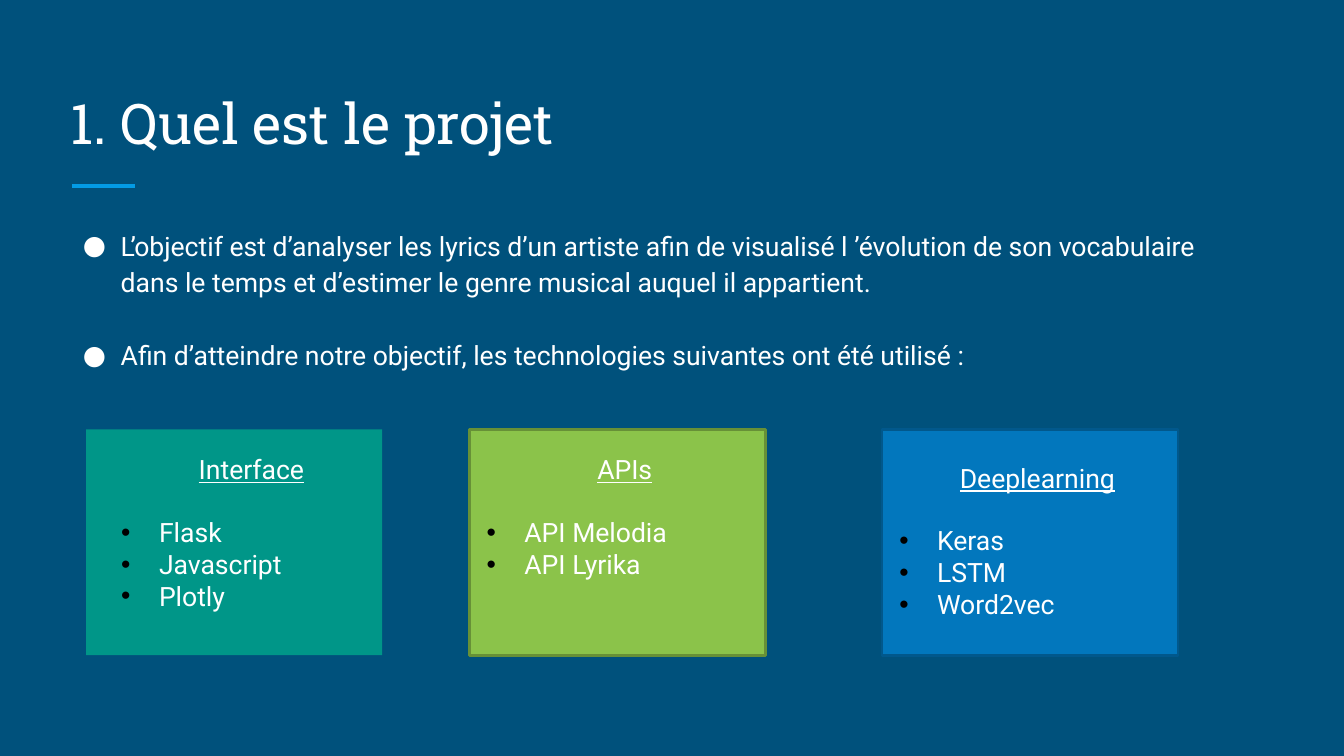
from dataclasses import dataclass

from lxml import etree
from pptx import Presentation
from pptx import util as u
from pptx.dml.color import RGBColor
from pptx.enum import shapes, text
from pptx.oxml import ns

PX = 9525


@dataclass(frozen=True)
class Theme:
    background: str = "00517C"
    accent: str = "039BE5"
    ink: str = "FFFFFF"
    card_bullet: str = "000000"
    teal: str = "009688"
    green: str = "8BC34A"
    green_edge: str = "679037"
    blue: str = "0277BD"
    blue_edge: str = "01588C"
    title_font: str = "Roboto Slab"
    body_font: str = "Roboto"
    title_size: int = 40
    body_size: int = 19


THEME = Theme()

TITLE = "Quel est le projet"
GOALS = [
    "L’objectif est d’analyser les lyrics d’un artiste afin de visualisé l\u00a0’évolution "
    "de son vocabulaire dans le temps et d’estimer le genre musical auquel il appartient.",
    "Afin d’atteindre notre objectif, les technologies suivantes ont été utilisé :",
]
CARDS = [
    (82, THEME.teal, None, (106, 427, 267, 163),
     "Interface", ["Flask", "Javascript", "Plotly"]),
    (447, THEME.green, THEME.green_edge, (454, 427, 282, 132),
     "APIs", ["API Melodia", "API Lyrika"]),
    (840, THEME.blue, THEME.blue_edge, (847, 435, 282, 163),
     "Deeplearning", ["Keras", "LSTM", "Word2vec"]),
]


def px(*lengths):
    return [u.Emu(length * PX) for length in lengths]


def color(value):
    return RGBColor.from_string(value)


def add_rule(page, left, top, width):
    rule = page.shapes.add_connector(
        shapes.MSO_CONNECTOR.STRAIGHT, *px(left, top, left + width, top))
    rule.line.color.rgb = color(THEME.accent)
    rule.line.width = u.Pt(3)
    etree.SubElement(rule._element.spPr, ns.qn("a:effectLst"))


def add_card(page, left, fill, edge):
    card = page.shapes.add_shape(
        shapes.MSO_SHAPE.RECTANGLE, *px(left, 409, 282, 215))
    card.shadow.inherit = False
    card.fill.solid()
    card.fill.fore_color.rgb = color(fill)
    if edge:
        card.line.color.rgb = color(edge)
        card.line.width = u.Pt(2)
    else:
        card.line.fill.background()


def add_frame(page, area, inset=None, anchor=text.MSO_ANCHOR.TOP):
    frame = page.shapes.add_textbox(*px(*area)).text_frame
    frame.word_wrap = True
    frame.vertical_anchor = anchor
    if inset is not None:
        frame.margin_left, frame.margin_top, frame.margin_right, frame.margin_bottom = px(
            *[inset] * 4)
    return frame


def set_bullet(para, kind, ink, font, margin, hang, **mark):
    props = para._p.get_or_add_pPr()
    props.set("marL", str(margin * PX))
    props.set("indent", str(-hang * PX))
    fill = etree.SubElement(props, ns.qn("a:buClr"))
    etree.SubElement(fill, ns.qn("a:srgbClr"), val=ink)
    etree.SubElement(props, ns.qn("a:buFont"), typeface=font)
    etree.SubElement(props, ns.qn(kind), **mark)


def style(para, font=THEME.body_font, size=THEME.body_size):
    para.font.name = font
    para.font.size = u.Pt(size)
    para.font.color.rgb = color(THEME.ink)


def write(frame, words):
    para = frame.paragraphs[0]
    if para.runs:
        para = frame.add_paragraph()
    para.text = words
    return para


def add_title(page):
    frame = add_frame(page, (55, 64, 1171, 96), 12, text.MSO_ANCHOR.BOTTOM)
    para = write(frame, TITLE)
    set_bullet(para, "a:buAutoNum", THEME.ink, THEME.title_font, 48, 51,
               type="arabicPeriod")
    style(para, THEME.title_font, THEME.title_size)


def add_goals(page):
    frame = add_frame(page, (55, 202, 1139, 431), 12)
    for index, goal in enumerate(GOALS):
        para = write(frame, goal)
        para.line_spacing = 1.15
        para.space_before = u.Pt(26 if index else 0)
        set_bullet(para, "a:buChar", THEME.ink, THEME.body_font, 48, 36, char="●")
        style(para)


def add_card_text(page, area, heading, items):
    frame = add_frame(page, area)
    para = write(frame, heading)
    para.alignment = text.PP_ALIGN.CENTER
    para.space_after = u.Pt(22)
    style(para)
    para.font.underline = True
    for item in items:
        para = write(frame, item)
        set_bullet(para, "a:buChar", THEME.card_bullet, "Arial", 36, 36, char="•")
        style(para)


def main():
    deck = Presentation()
    deck.slide_width, deck.slide_height = px(1280, 720)
    page = deck.slides.add_slide(deck.slide_layouts[6])
    page.background.fill.solid()
    page.background.fill.fore_color.rgb = color(THEME.background)

    add_rule(page, 69, 177, 60)
    add_title(page)
    add_goals(page)
    for left, fill, edge, area, heading, items in CARDS:
        add_card(page, left, fill, edge)
        add_card_text(page, area, heading, items)
    deck.save("out.pptx")


if __name__ == "__main__":
    main()
